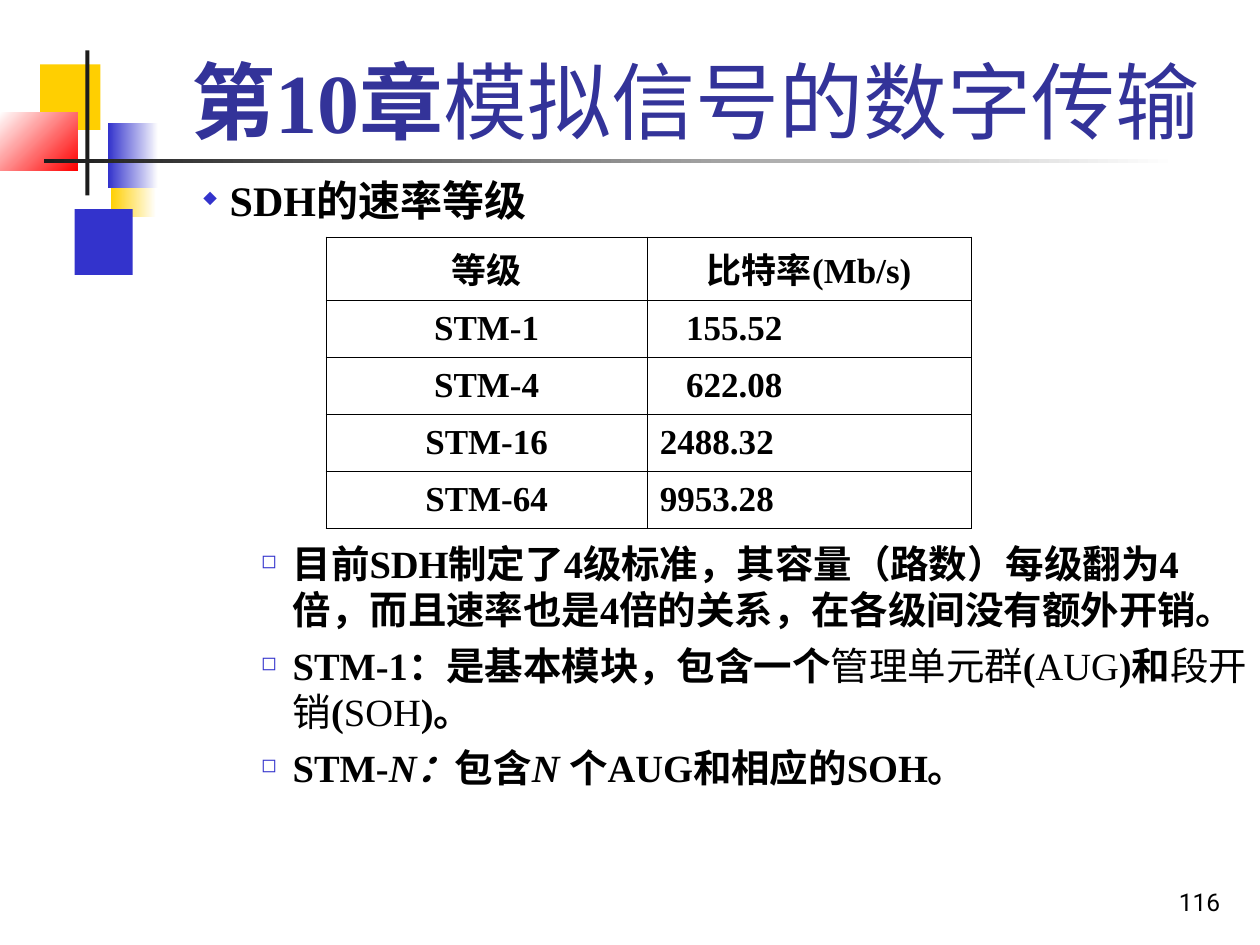
import pptx
import pptx.dml.color
import pptx.enum.shapes
import pptx.enum.text
import pptx.oxml
import pptx.oxml.ns
import pptx.util

Pt = pptx.util.Pt
ALIGN = pptx.enum.text.PP_ALIGN
ANCHOR = pptx.enum.text.MSO_ANCHOR
NS = pptx.oxml.ns.nsdecls("a")
COLORS = {
    "ink": "000000", "title": "333399", "blue": "3333CC", "yellow": "FFCF01",
    "red": "FF0000", "dark": "1C1C1C", "white": "FFFFFF",
}


def rgb(name):
    return pptx.dml.color.RGBColor.from_string(COLORS[name])


def write(paragraph, text, size=22, color="ink", bold=True, italic=False, font="Times New Roman"):
    run = paragraph.add_run()
    run.text = text
    run.font.size = Pt(size)
    run.font.color.rgb = rgb(color)
    run.font.bold = bold
    run.font.italic = italic
    run.font.name = font


class SlideStyle:
    """Holds the shared style and the slide being built."""

    border_width = 0.45

    def __init__(self, slide):
        self.slide = slide

    def block(self, left, top, width, height, start, end=None, angle=0):
        block = self.slide.shapes.add_shape(
            pptx.enum.shapes.MSO_SHAPE.RECTANGLE, Pt(left), Pt(top), Pt(width), Pt(height))
        block.shadow.inherit = False
        block.line.fill.background()
        if end is None:
            block.fill.solid()
            block.fill.fore_color.rgb = rgb(start)
            return
        block.fill.gradient()
        block.fill.gradient_angle = (360 - angle) % 360
        for stop, color in zip(block.fill.gradient_stops, (start, end)):
            stop.color.rgb = rgb(color)

    def text_box(self, left, top, width, height, anchor=ANCHOR.TOP, margin=3.6):
        frame = self.slide.shapes.add_textbox(Pt(left), Pt(top), Pt(width), Pt(height)).text_frame
        frame.word_wrap = True
        frame.vertical_anchor = anchor
        frame.margin_top = frame.margin_bottom = Pt(margin)
        return frame

    def bullet(self, paragraph, mark, percent, indent, hang, spacing):
        paragraph.line_spacing = Pt(spacing)
        properties = paragraph._p.get_or_add_pPr()
        properties.set("marL", str(Pt(indent)))
        properties.set("indent", str(Pt(-hang)))
        properties.set("hangingPunct", "0")
        for element in (
            f'<a:buClr {NS}><a:srgbClr val="{COLORS["blue"]}"/></a:buClr>',
            f'<a:buSzPct {NS} val="{percent * 1000}"/>',
            f'<a:buChar {NS} char="{mark}"/>',
        ):
            properties.append(pptx.oxml.parse_xml(element))

    def bullets(self, frame, items, size, **marker):
        for index, pieces in enumerate(items):
            paragraph = frame.add_paragraph() if index else frame.paragraphs[0]
            if index:
                paragraph.space_before = Pt(5.5)
            self.bullet(paragraph, **marker)
            for text, options in pieces:
                write(paragraph, text, size=size, **options)

    def cell(self, cell, text, align, indent=0):
        cell.fill.background()
        cell.vertical_anchor = ANCHOR.MIDDLE
        paragraph = cell.text_frame.paragraphs[0]
        paragraph.alignment = align
        if indent:
            paragraph._p.get_or_add_pPr().set("marL", str(Pt(indent)))
        write(paragraph, text, size=20)
        properties = cell._tc.get_or_add_tcPr()
        for position, side in enumerate(("lnL", "lnR", "lnT", "lnB")):
            properties.insert(position, pptx.oxml.parse_xml(
                f'<a:{side} {NS} w="{Pt(self.border_width)}"><a:solidFill>'
                f'<a:srgbClr val="{COLORS["ink"]}"/></a:solidFill></a:{side}>'))

    def rate_table(self, left, top, widths, heights, rows):
        table = self.slide.shapes.add_table(
            len(rows), len(widths), Pt(left), Pt(top), Pt(sum(widths)), Pt(sum(heights))).table
        table.first_row = table.horz_banding = False
        for column, width in zip(table.columns, widths):
            column.width = Pt(width)
        for index, (level, rate) in enumerate(rows):
            table.rows[index].height = Pt(heights[index])
            self.cell(table.cell(index, 0), level, ALIGN.CENTER)
            if index == 0:
                self.cell(table.cell(index, 1), rate, ALIGN.CENTER)
            else:
                missing_digits = 4 - rate.index(".")
                self.cell(table.cell(index, 1), rate, ALIGN.LEFT, 15 * missing_digits)


def main():
    deck = pptx.Presentation()
    deck.slide_width, deck.slide_height = Pt(720), Pt(540)
    style = SlideStyle(deck.slides.add_slide(deck.slide_layouts[6]))

    for block in (
        (63.2, 86.4, 26, 37.6, "yellow", "white"),
        (42.6, 119.6, 33.2, 37.6, "blue"),
        (22.9, 36.8, 34.5, 37.4, "yellow"),
        (61.8, 70.1, 28.8, 37.4, "blue", "white"),
        (0, 64, 44.5, 33.6, "white", "red", 45),
        (48.8, 28.8, 2.3, 82.8, "dark"),
        (25.2, 90.8, 648, 2.3, "dark", "white"),
    ):
        style.block(*block)

    page_number = style.text_box(554.6, 491.4, 149.8, 36, ANCHOR.BOTTOM).paragraphs[0]
    page_number.alignment = ALIGN.RIGHT
    write(page_number, "116", size=14, bold=False, font="Roboto")

    title = style.text_box(90.7, 14, 613.4, 72, ANCHOR.BOTTOM, margin=0).paragraphs[0]
    title.alignment = ALIGN.CENTER
    write(title, "第10章", size=48, color="title")
    write(title, "模拟信号的数字传输", size=48, color="title", bold=False)

    heading = style.text_box(34.2, 96.3, 685.8, 36)
    style.bullets(heading, [[("SDH的速率等级", {})]], 24,
                  mark="◆", percent=42, indent=90, hang=15, spacing=28.7)

    style.rate_table(186.3, 135.4, (183.6, 185), (36, *[32.6] * 4), (
        ("等级", "比特率(Mb/s)"),
        ("STM-1", "155.52"),
        ("STM-4", "622.08"),
        ("STM-16", "2488.32"),
        ("STM-64", "9953.28"),
    ))

    plain, italic = {"bold": False}, {"italic": True}
    notes = style.text_box(34.2, 305.2, 685.8, 182)
    style.bullets(notes, (
        [("目前SDH制定了4级标准，其容量（路数）每级翻为4倍，而且速率也是4倍的关系，在各级间没有额外开销。", {})],
        [("STM-1：是基本模块，包含一个", {}), ("管理单元群", plain), ("(", {}), ("AUG", plain),
         (")和", {}), ("段开销", plain), ("(", {}), ("SOH", plain), (")。", {})],
        [("STM-", {}), ("N：", italic), ("包含", {}), ("N ", italic), ("个AUG和相应的SOH。", {})],
    ), 22, mark="◻", percent=50, indent=126, hang=18, spacing=26.3)

    deck.save("out.pptx")


if __name__ == "__main__":
    main()
